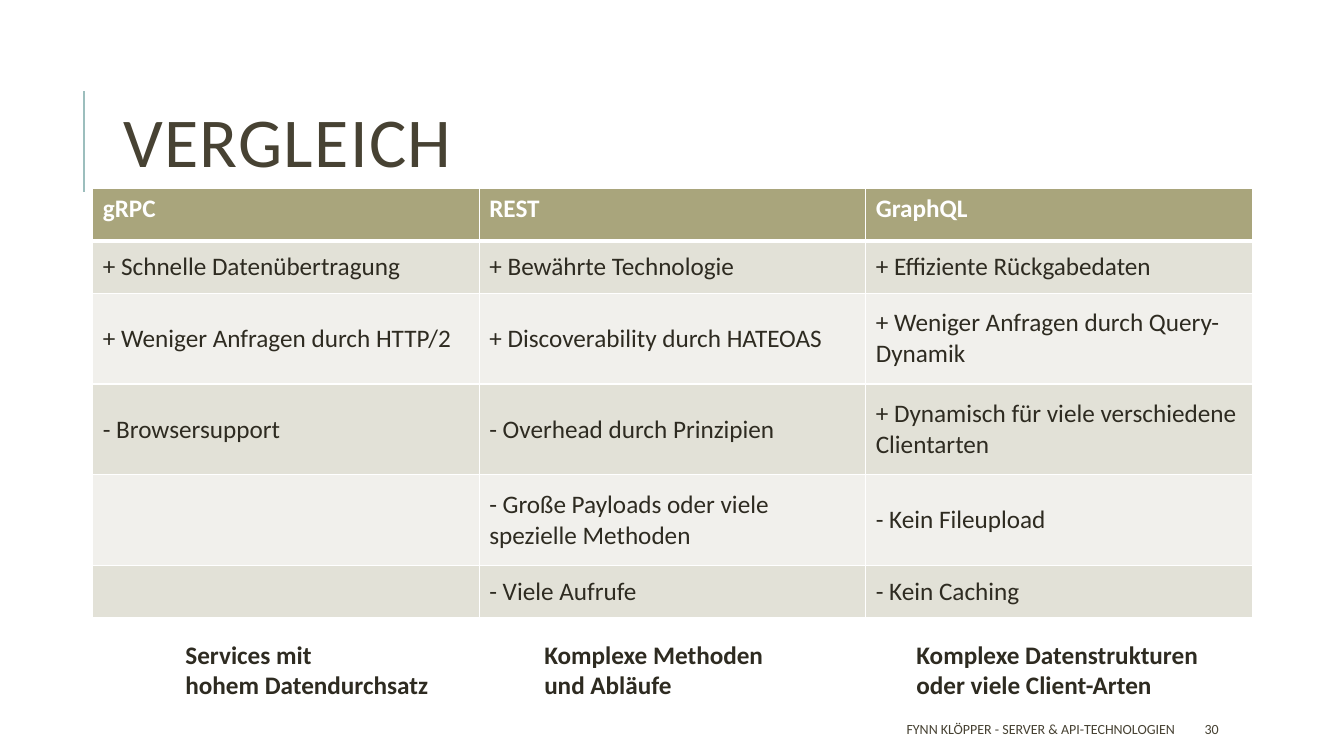
"""Build the comparison slide for gRPC, REST and GraphQL."""
from lxml.etree import SubElement
from pptx import Presentation
from pptx.dml.color import RGBColor as RGB
from pptx.enum.shapes import MSO_CONNECTOR as CONNECTOR
from pptx.enum.text import MSO_ANCHOR as ANCHOR, MSO_AUTO_SIZE as AUTOSIZE, PP_ALIGN as ALIGN
from pptx.oxml.ns import qn
from pptx.util import Pt

PX = 9144
THEME = {
    "rule": "9CBEBD", "header": "A9A57C", "bands": ["F1F0EC", "E2E1D7"], "border": "FFFFFF",
    "title": {"name": "Calibri", "size": Pt(50), "bold": False, "color": "474233"},
    "head": {"name": "Calibri", "size": Pt(18), "bold": True, "color": "FFFFFF"},
    "body": {"name": "Calibri", "size": Pt(18), "bold": False, "color": "2E2B21"},
    "verdict": {"name": "Calibri", "size": Pt(18), "bold": True, "color": "2E2B21"},
    "footer": {"name": "Calibri", "size": Pt(10), "bold": False, "color": "474233"},
}


def write(frame, text, style, anchor=ANCHOR.TOP, align=ALIGN.LEFT):
    """Put styled text in the first paragraph of a frame."""
    paragraph = frame.paragraphs[0]
    paragraph.text = text
    paragraph.alignment = align
    frame.vertical_anchor = anchor
    for run in paragraph.runs:
        for key, value in THEME[style].items():
            if key == "color":
                run.font.color.rgb = RGB.from_string(value)
            else:
                setattr(run.font, key, value)
    return paragraph


def add_border(cell, side, points):
    """Draw one side of a table cell."""
    edge = SubElement(cell._tc.get_or_add_tcPr(), qn(f"a:ln{side}"), w=str(Pt(points)))
    SubElement(SubElement(edge, qn("a:solidFill")), qn("a:srgbClr"), val=THEME["border"])


deck = Presentation()
deck.slide_width, deck.slide_height = 1333 * PX, 750 * PX
slide = deck.slides.add_slide(deck.slide_layouts[5])
shapes = slide.shapes

rule = shapes.add_connector(CONNECTOR.STRAIGHT, 83 * PX, 190 * PX, 83 * PX, 90 * PX)
rule.line.color.rgb = RGB.from_string(THEME["rule"])
rule.line.width = Pt(1.5)
SubElement(rule._element.spPr, qn("a:effectLst"))

title = shapes.title
title.left, title.top, title.width, title.height = 112 * PX, 64 * PX, 1063 * PX, 164 * PX
heading = write(title.text_frame, "VERGLEICH", "title", ANCHOR.MIDDLE)
heading.line_spacing = 0.8
heading.runs[0].font._element.set("spc", "100")
title.text_frame.auto_size = AUTOSIZE.NONE

comparison = [
    ["gRPC", "REST", "GraphQL"],
    ["+ Schnelle Datenübertragung", "+ Bewährte Technologie", "+ Effiziente Rückgabedaten"],
    ["+ Weniger Anfragen durch HTTP/2", "+ Discoverability durch HATEOAS",
     "+ Weniger Anfragen durch Query-Dynamik"],
    ["- Browsersupport", "- Overhead durch Prinzipien",
     "+ Dynamisch für viele verschiedene Clientarten"],
    ["", "- Große Payloads oder viele spezielle Methoden", "- Kein Fileupload"],
    ["", "- Viele Aufrufe", "- Kein Caching"],
]
row_heights = [52, 52, 90, 90, 90, 52]
table = shapes.add_table(len(comparison), 3, 92 * PX, 187 * PX, 1150 * PX,
                         sum(row_heights) * PX).table
for row_index, (entries, height) in enumerate(zip(comparison, row_heights)):
    table.rows[row_index].height = height * PX
    is_head = row_index == 0
    for column_index, entry in enumerate(entries):
        cell = table.cell(row_index, column_index)
        for side in "LRTB":
            thick = (is_head and side == "B") or (row_index == 1 and side == "T")
            add_border(cell, side, 3 if thick else 1)
        cell.fill.solid()
        cell.fill.fore_color.rgb = RGB.from_string(
            THEME["header"] if is_head else THEME["bands"][row_index % 2])
        cell.vertical_anchor = ANCHOR.TOP if is_head else ANCHOR.MIDDLE
        if entry:
            write(cell.text_frame, entry, "head" if is_head else "body", cell.vertical_anchor)

verdicts = [
    (174, 268, "Services mit\vhohem Datendurchsatz"),
    (530, 243, "Komplexe Methoden\vund Abläufe"),
    (899, 302, "Komplexe Datenstrukturen\voder viele Client-Arten"),
]
for left, width, verdict in verdicts:
    frame = shapes.add_textbox(left * PX, 629 * PX, width * PX, 71 * PX).text_frame
    frame.word_wrap = False
    frame.auto_size = AUTOSIZE.SHAPE_TO_FIT_TEXT
    write(frame, verdict, "verdict")

footers = [
    (1185, 106, "30", ALIGN.LEFT),
    (530, 645, "FYNN KLÖPPER - SERVER & API-TECHNOLOGIEN", ALIGN.RIGHT),
]
for left, width, footer, align in footers:
    frame = shapes.add_textbox(left * PX, 708 * PX, width * PX, 30 * PX).text_frame
    frame.word_wrap = True
    write(frame, footer, "footer", ANCHOR.MIDDLE, align)

deck.save("out.pptx")
